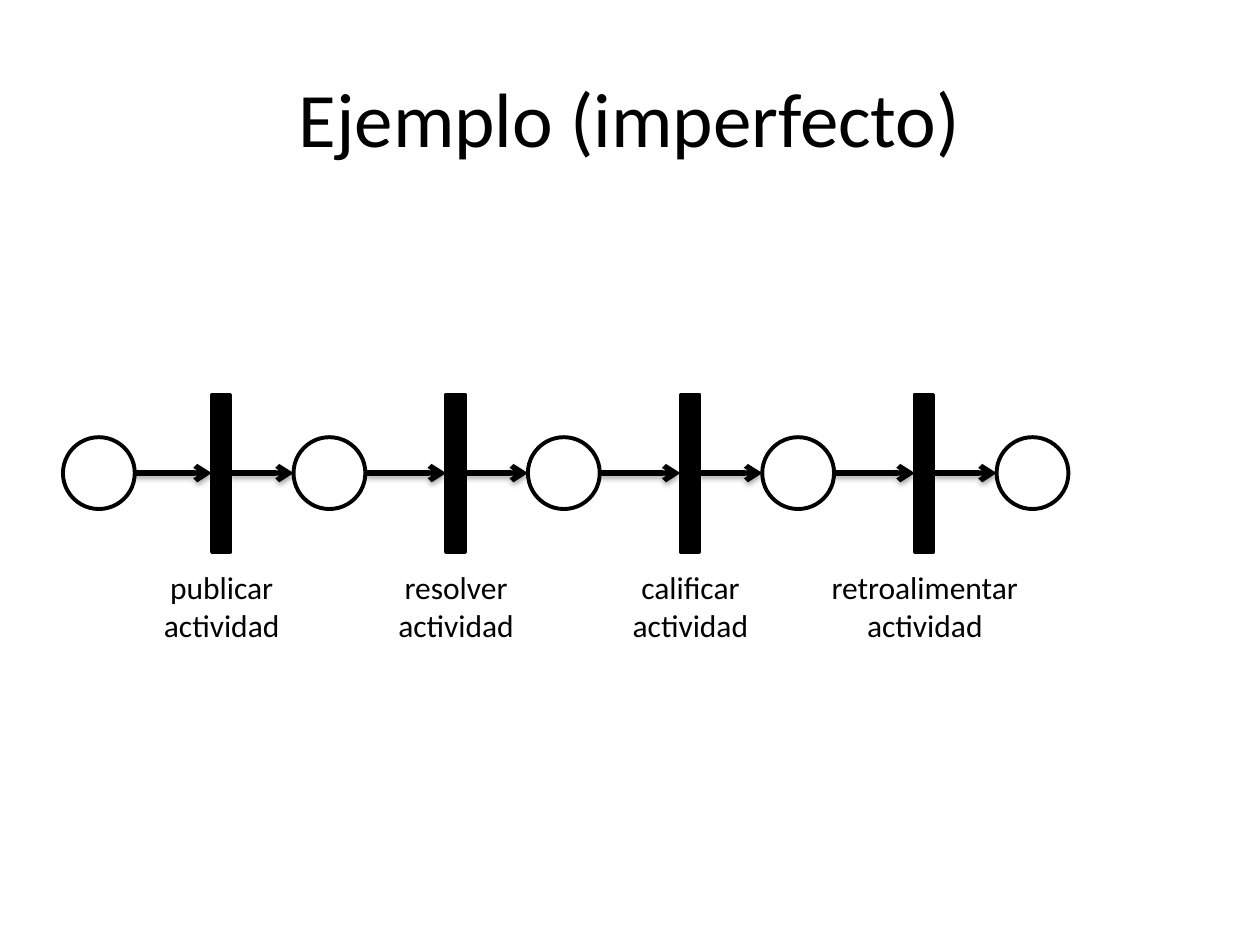
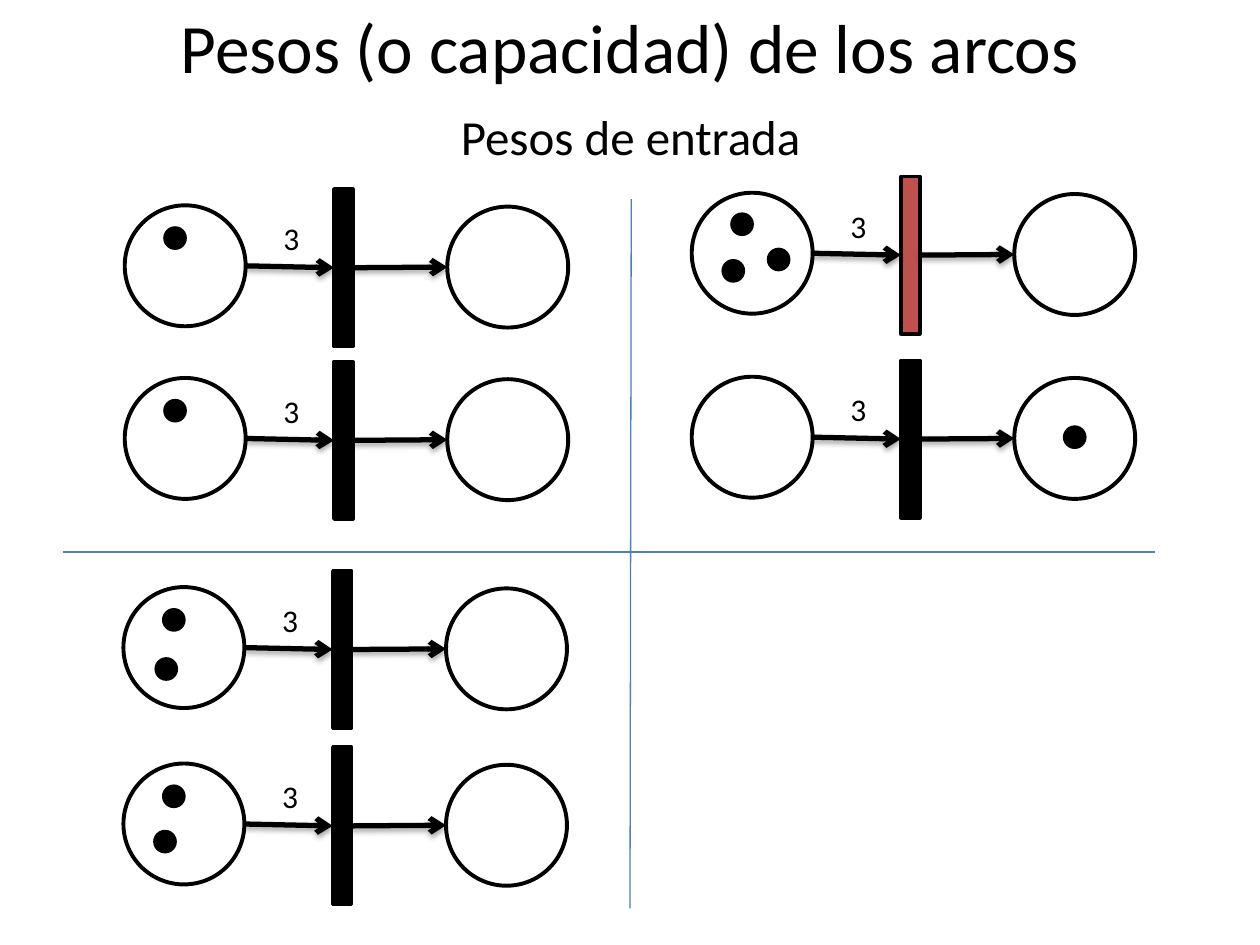
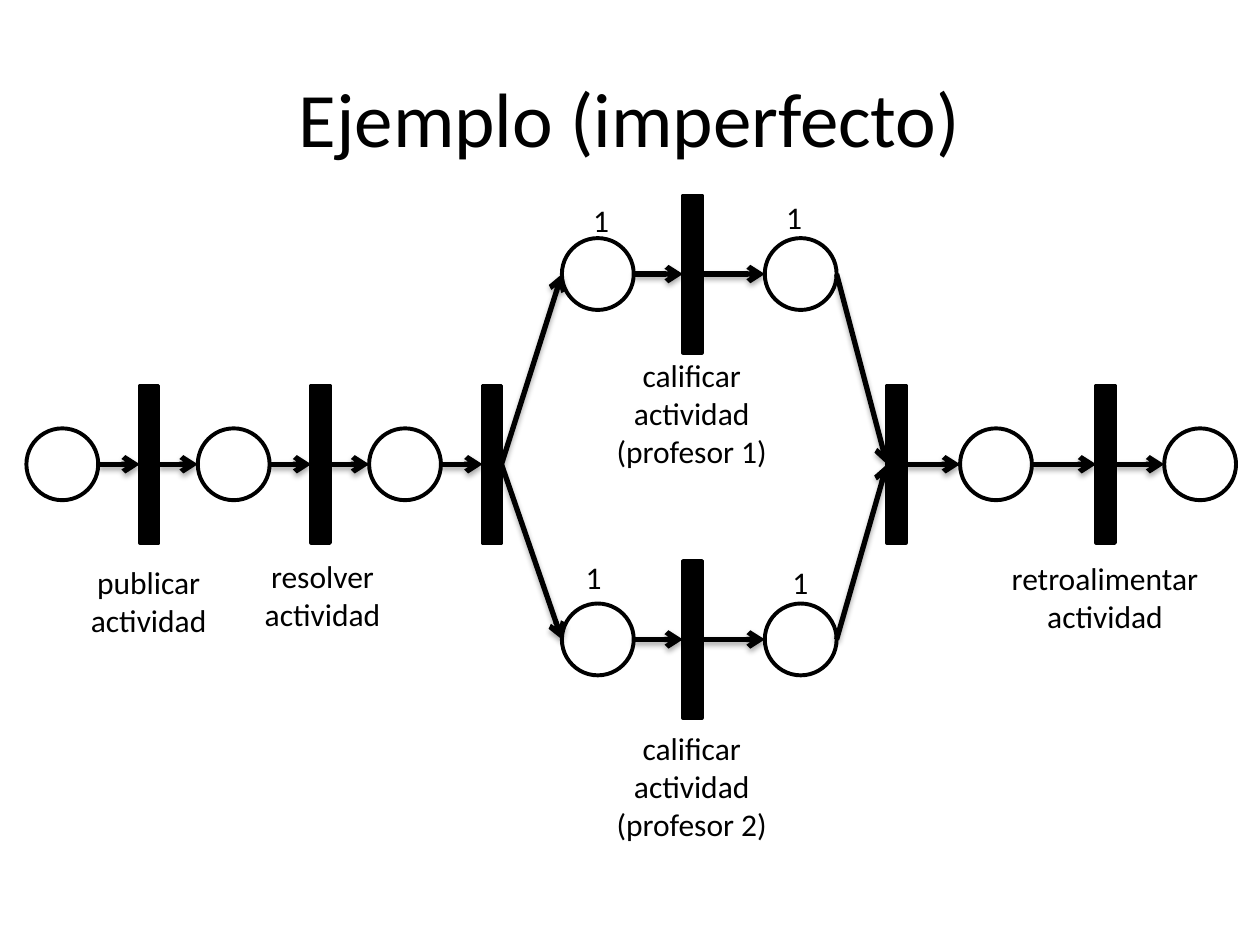
from pptx import Presentation
from pptx.dml.color import RGBColor
from pptx.enum.shapes import MSO_CONNECTOR, MSO_SHAPE
from pptx.enum.text import MSO_ANCHOR, MSO_AUTO_SIZE, PP_ALIGN
from pptx.oxml import parse_xml
from pptx.oxml.ns import nsdecls
from pptx.util import Inches, Pt

OVAL, RECT = MSO_SHAPE.OVAL, MSO_SHAPE.RECTANGLE
STRAIGHT = MSO_CONNECTOR.STRAIGHT
LEFT, CENTER = PP_ALIGN.LEFT, PP_ALIGN.CENTER
FIT, MIDDLE = MSO_AUTO_SIZE.SHAPE_TO_FIT_TEXT, MSO_ANCHOR.MIDDLE

FONT = "Calibri"
BLACK, WHITE, RED, BLUE = "000000", "FFFFFF", "C0504D", "4B7EBC"
rgb = RGBColor.from_string

# Net parts: preset, width, height, fill, line weight
PLACE = (OVAL, 0.57, 0.57, WHITE, 2.25)
BIG = (OVAL, 0.96, 0.96, WHITE, 2.25)
TOKEN = (OVAL, 0.16, 0.16, BLACK, 2)
BAR = (RECT, 0.15, 1.25, BLACK, 2)
FIRED = (RECT, 0.15, 1.25, RED, 2)
RISE = 0.34  # from the top of a bar to the top of a place beside it

SHADOW = f"""<a:effectLst {nsdecls("a")}>
  <a:outerShdw blurRad="40000" dist="23000" dir="5400000" rotWithShape="0">
    <a:srgbClr val="{BLACK}"><a:alpha val="35000"/></a:srgbClr>
  </a:outerShdw></a:effectLst>"""
PLAIN = f'<a:effectLst {nsdecls("a")}/>'
ARROW = f'<a:tailEnd {nsdecls("a")} type="arrow"/>'


def node(slide, part, x, y):
    kind, w, h, fill, weight = part
    shape = slide.shapes.add_shape(kind, Inches(x), Inches(y), Inches(w), Inches(h))
    shape.shadow.inherit = False
    shape.fill.solid()
    shape.fill.fore_color.rgb = rgb(fill)
    shape.line.color.rgb = rgb(BLACK)
    shape.line.width = Pt(weight)
    return shape


def link(slide, *nodes):
    """Join each node's right side to the left side of the next one."""
    for a, b in zip(nodes, nodes[1:]):
        line = slide.shapes.add_connector(
            STRAIGHT, a.left + a.width, a.top + a.height // 2,
            b.left, b.top + b.height // 2)
        if a.auto_shape_type == RECT:
            line.begin_connect(a, 3)
        if b.auto_shape_type == RECT:
            line.end_connect(b, 1)
        line.line.color.rgb = rgb(BLACK)
        line.line.width = Pt(3)
        line.line._get_or_add_ln().append(parse_xml(ARROW))
        line._element.spPr.append(parse_xml(SHADOW))


prs = Presentation()
prs.slide_width, prs.slide_height = Inches(10), Inches(7.5)

# Slides and titles
slides = []
for words, top, height, size in [
    ("Ejemplo (imperfecto)", 0.3, 1.25, 44),
    ("Pesos (o capacidad) de los arcos", 0.15, 0.42, 39.6),
    ("Ejemplo (imperfecto)", 0.3, 1.25, 44),
]:
    slide = prs.slides.add_slide(prs.slide_layouts[5])
    title = slide.shapes.title
    title.left, title.top = Inches(0.5), Inches(top)
    title.width, title.height = Inches(9), Inches(height)
    title.text_frame.vertical_anchor = MIDDLE
    para = title.text_frame.paragraphs[0]
    para.alignment = CENTER
    run = para.add_run()
    run.text = words
    run.font.name, run.font.size = FONT, Pt(size)
    run.font.color.rgb = rgb(BLACK)
    slides.append(slide)
chain, weights, fork = slides

# Texts: slide, x, y, width, height, paragraphs, size, alignment, wrap
texts = []

# Slide 1: a simple chain
row = 3.47
nodes = [node(chain, PLACE, 0.5, row)]
steps = [("publicar", 1.2), ("resolver", 1.3), ("calificar", 1.24), ("retroalimentar", 1.79)]
for i, (verb, wide) in enumerate(steps):
    x = 1.68 + 1.86 * i
    nodes.append(node(chain, BAR, x, row - RISE))
    nodes.append(node(chain, PLACE, x + 0.65, row))
    texts.append((chain, x + 0.08 - wide / 2, 4.46, wide, 0.71,
                  [f"{verb} actividad"], 18, CENTER, True))
link(chain, *nodes)

# Slide 2: dividing lines
for x1, y1, x2, y2 in [(5.01, 1.58, 5, 7.21), (0.5, 4.38, 9.17, 4.38)]:
    rule = weights.shapes.add_connector(
        STRAIGHT, Inches(x1), Inches(y1), Inches(x2), Inches(y2))
    rule.line.color.rgb = rgb(BLUE)
    rule.line.width = Pt(0.75)
    rule._element.spPr.append(parse_xml(PLAIN))

# Slide 2: small nets, tokens placed from the corner of the first place
for x, y, bar, tokens in [
    (0.99, 1.63, BAR, [(0.32, 0.18)]),
    (0.99, 3.0, BAR, [(0.32, 0.18)]),
    (0.98, 4.66, BAR, [(0.32, 0.18), (0.26, 0.57)]),
    (0.98, 6.06, BAR, [(0.32, 0.18), (0.25, 0.54)]),
    (5.49, 1.53, FIRED, [(0.32, 0.17), (0.25, 0.54), (0.61, 0.45)]),
    (5.49, 2.99, BAR, [(2.96, 0.4)]),
]:
    link(weights,
         node(weights, BIG, x, y),
         node(weights, bar, x + 1.66, y - 0.13),
         node(weights, BIG, x + 2.56, y + 0.01))
    for dx, dy in tokens:
        node(weights, TOKEN, x + dx, y + dy)
    texts.append((weights, x + 1.16, y + 0.06, 0.33, 0.4, ["3"], 18, LEFT, False))
texts.append((weights, 3.54, 0.8, 2.93, 0.57, ["Pesos de entrada"], 28, CENTER, False))

# Slide 3: chain before and after the fork
row = 3.4
start = []
for i in range(3):
    x = 0.21 + 1.36 * i
    start += [node(fork, PLACE, x, row), node(fork, BAR, x + 0.9, row - RISE)]
end = [
    node(fork, BAR, 7.04, row - RISE),
    node(fork, PLACE, 7.62, row),
    node(fork, BAR, 8.7, row - RISE),
    node(fork, PLACE, 9.24, row),
]
link(fork, *start)
link(fork, *end)

# Slide 3: the two branches
for y in (1.89, 4.79):
    link(fork,
         start[-1],
         node(fork, PLACE, 4.46, y),
         node(fork, BAR, 5.42, y - RISE),
         node(fork, PLACE, 6.07, y),
         end[0])

for x, y, wide, high, lines in [
    (0.58, 4.42, 1.2, 0.71, ["publicar actividad"]),
    (1.91, 4.37, 1.3, 0.71, ["resolver actividad"]),
    (7.85, 4.39, 1.84, 0.71, ["retroalimentar actividad"]),
    (4.77, 2.78, 1.44, 1.01, ["calificar actividad", "(profesor 1)"]),
    (4.77, 5.74, 1.44, 1.01, ["calificar actividad", "(profesor 2)"]),
]:
    texts.append((fork, x, y, wide, high, lines, 18, CENTER, True))
for x, y in [(4.61, 1.55), (6.14, 1.52), (4.55, 4.38), (6.19, 4.42)]:
    texts.append((fork, x, y, 0.33, 0.4, ["1"], 18, LEFT, False))

# Labels of all slides
for slide, x, y, wide, high, lines, size, align, wrap in texts:
    box = slide.shapes.add_textbox(Inches(x), Inches(y), Inches(wide), Inches(high))
    frame = box.text_frame
    frame.word_wrap = wrap
    frame.auto_size = FIT
    for i, line in enumerate(lines):
        para = frame.add_paragraph() if i else frame.paragraphs[0]
        para.alignment = align
        run = para.add_run()
        run.text = line
        run.font.name, run.font.size = FONT, Pt(size)
        run.font.color.rgb = rgb(BLACK)

prs.save("out.pptx")
